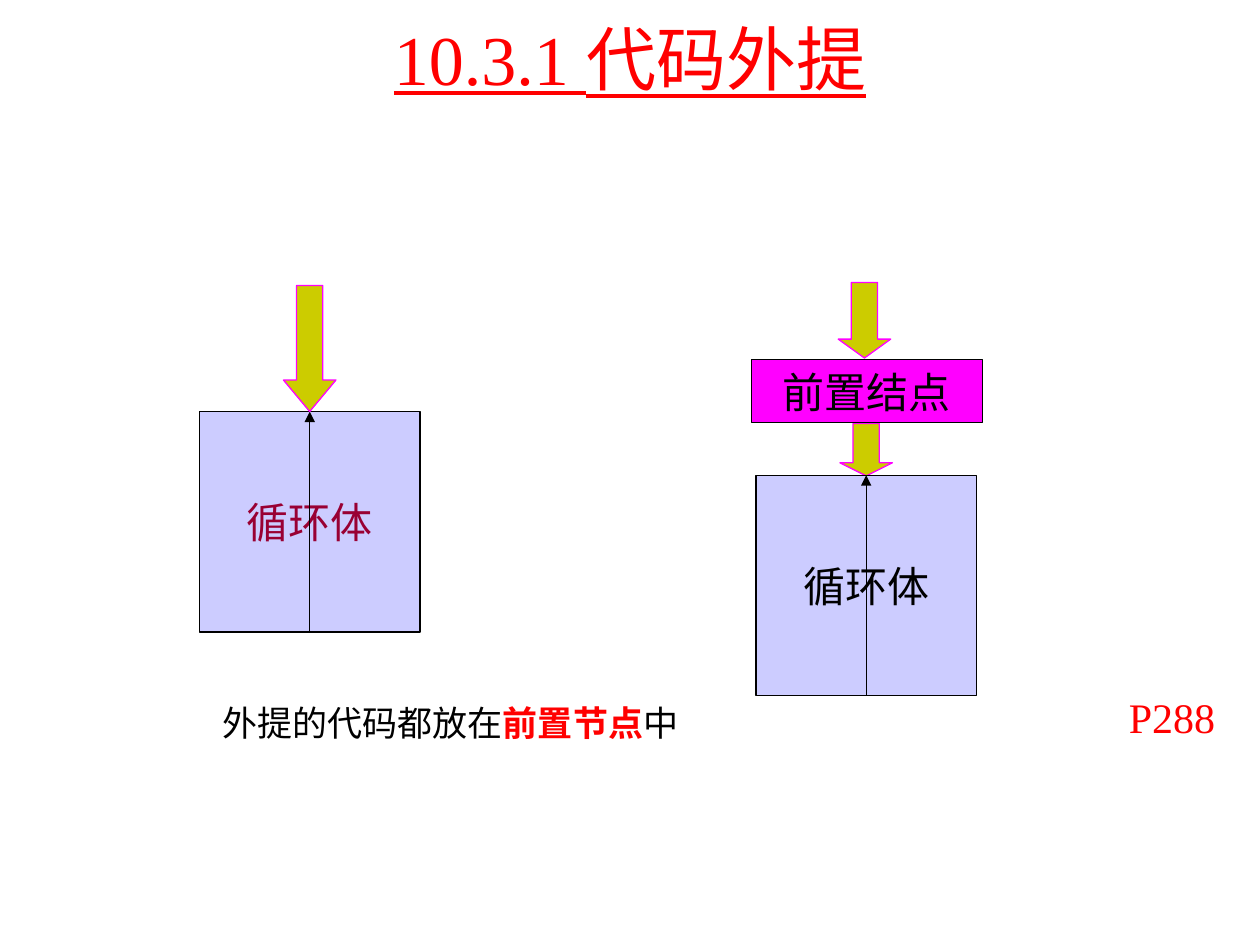
from lxml.etree import SubElement
from pptx import Presentation
from pptx.dml.color import RGBColor
from pptx.enum.shapes import MSO_CONNECTOR as Connector, MSO_SHAPE as Shape
from pptx.enum.text import MSO_ANCHOR as Anchor, MSO_AUTO_SIZE as AutoSize, PP_ALIGN as Align
from pptx.oxml.ns import qn
from pptx.util import Pt

BLACK, RED, MAGENTA = "000000", "FF0000", "FF00FF"
LAVENDER, OLIVE, MAROON = "CCCCFF", "CCCC00", "990033"


def color(value):
    return RGBColor.from_string(value)


class FlowSlide:
    font_name = "Times New Roman"
    line_width = 0.75
    body_side = 126
    arrow_width = 30

    def __init__(self, slide):
        self.slide = slide
        self.shapes = slide.shapes

    def style_run(self, run, size, ink, bold=False):
        run.font.name = self.font_name
        run.font.size = Pt(size)
        run.font.color.rgb = color(ink)
        run.font.bold = bold

    def title(self, text, box):
        heading = self.shapes.title
        heading.left, heading.top, heading.width, heading.height = map(Pt, box)
        frame = heading.text_frame
        frame.text = text
        frame.auto_size = AutoSize.NONE
        frame.vertical_anchor = Anchor.MIDDLE
        paragraph = frame.paragraphs[0]
        paragraph.alignment = Align.CENTER
        paragraph.line_spacing = 1.0
        self.style_run(paragraph.runs[0], 40, RED)
        paragraph.runs[0].font.underline = True

    def filled_shape(self, kind, box, fill, outline):
        shape = self.shapes.add_shape(kind, *map(Pt, box))
        shape.shadow.inherit = False
        shape.fill.solid()
        shape.fill.fore_color.rgb = color(fill)
        shape.line.color.rgb = color(outline)
        shape.line.width = Pt(self.line_width)
        return shape

    def node(self, text, box, fill, ink):
        frame = self.filled_shape(Shape.RECTANGLE, box, fill, BLACK).text_frame
        frame.text = text
        frame.word_wrap = False
        frame.vertical_anchor = Anchor.MIDDLE
        paragraph = frame.paragraphs[0]
        paragraph.alignment = Align.CENTER
        self.style_run(paragraph.runs[0], 24, ink)

    def block_arrow(self, axis, top, height, head):
        """Draw a downward arrow centred on axis; head is relative to its width."""
        box = (axis - self.arrow_width / 2, top, self.arrow_width, height)
        arrow = self.filled_shape(Shape.DOWN_ARROW, box, OLIVE, MAGENTA)
        arrow.adjustments[0] = 0.5
        arrow.adjustments[1] = head

    def loop_body(self, axis, top, ink):
        """Draw the loop body with its back edge from bottom to top."""
        side = self.body_side
        self.node("循环体", (axis - side / 2, top, side, side), LAVENDER, ink)
        back_edge = self.shapes.add_connector(
            Connector.STRAIGHT, Pt(axis), Pt(top + side), Pt(axis), Pt(top))
        back_edge.line.color.rgb = color(BLACK)
        back_edge.line.width = Pt(self.line_width)
        properties = back_edge.line._get_or_add_ln()
        SubElement(properties, qn("a:tailEnd"), type="triangle")
        SubElement(back_edge._element.spPr, qn("a:effectLst"))

    def label(self, parts, box, size):
        """Add one line of text from (text, ink, bold) parts."""
        frame = self.shapes.add_textbox(*map(Pt, box)).text_frame
        frame.word_wrap = False
        frame.auto_size = AutoSize.SHAPE_TO_FIT_TEXT
        for text, ink, bold in parts:
            run = frame.paragraphs[0].add_run()
            run.text = text
            self.style_run(run, size, ink, bold)


def main():
    presentation = Presentation()
    presentation.slide_width, presentation.slide_height = Pt(720), Pt(540)
    page = FlowSlide(presentation.slides.add_slide(presentation.slide_layouts[5]))
    page.title("10.3.1 代码外提", (54, 12, 612, 42))

    before_axis, after_axis = 177, 495
    page.block_arrow(after_axis, 242, 30, 0.25)
    page.loop_body(before_axis, 235.2, MAROON)
    page.block_arrow(before_axis, 163.2, 72, 0.6)
    page.loop_body(after_axis, 271.6, BLACK)
    page.block_arrow(after_axis - 1, 161.4, 43.2, 0.36)
    page.node("前置结点", (429.4, 205.6, 132, 36), MAGENTA, BLACK)

    page.label([("外提的代码都放在", BLACK, False), ("前置节点", RED, True),
                ("中", BLACK, False)], (120, 397.5, 276, 31.5), 20)
    page.label([("P288", RED, False)], (638, 391.6, 68, 36), 24)
    presentation.save("out.pptx")


if __name__ == "__main__":
    main()
